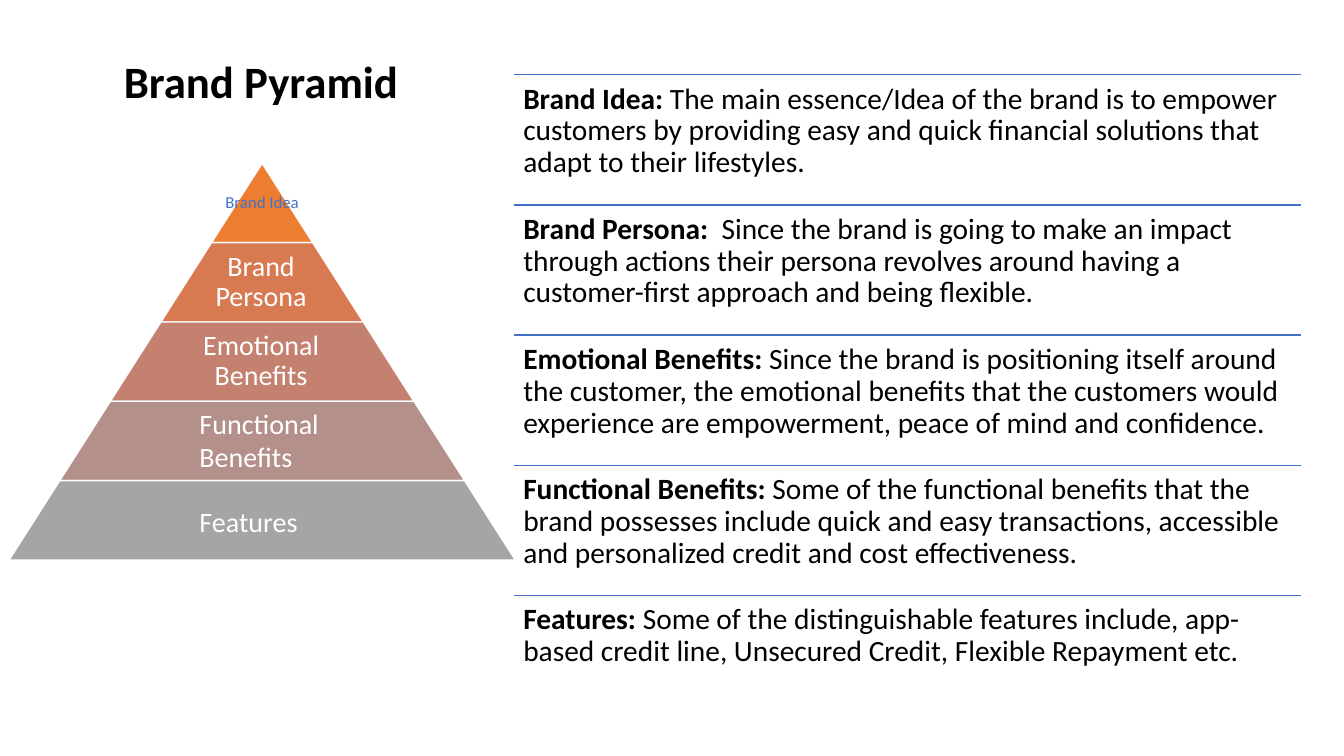
"""Builds the Brand Pyramid slide: five stacked levels beside their descriptions."""
from dataclasses import dataclass

from pptx import Presentation
from pptx.dml.color import RGBColor
from pptx.enum.shapes import MSO_CONNECTOR, MSO_SHAPE
from pptx.enum.text import MSO_ANCHOR, PP_ALIGN
from pptx.oxml.ns import qn
from pptx.util import Inches, Pt
from lxml.etree import SubElement

HEADING = "Brand Pyramid"
LEVELS = ["Brand Idea", "Brand Persona", "Emotional Benefits", "Functional Benefits", "Features"]
DESCRIPTIONS = [
    ("Brand Idea: ", "The main essence/Idea of the brand is to empower customers by providing "
     "easy and quick financial solutions that adapt to their lifestyles."),
    ("Brand Persona: ", " Since the brand is going to make an impact through actions their "
     "persona revolves around having a customer-first approach and being flexible."),
    ("Emotional Benefits: ", "Since the brand is positioning itself around the customer, the "
     "emotional benefits that the customers would experience are empowerment, peace of mind "
     "and confidence."),
    ("Functional Benefits: ", "Some of the functional benefits that the brand possesses include "
     "quick and easy transactions, accessible and personalized credit and cost effectiveness."),
    ("Features: ", "Some of the distinguishable features include, app-based credit line, "
     "Unsecured Credit, Flexible Repayment etc."),
]


@dataclass(frozen=True)
class Theme:
    font: str = "Calibri"
    ink: str = "000000"
    white: str = "FFFFFF"
    accent: str = "4472C4"
    bands: tuple = ("ED7D31", "D87A51", "C48170", "B4908B", "A5A5A5")
    heading_size: int = 32
    body_size: int = 21
    level_size: int = 20
    peak_size: int = 12


THEME = Theme()
SLIDE_W, SLIDE_H = 13.33, 7.5
PYRAMID_CENTRE, PYRAMID_TOP, PYRAMID_BASE = 2.6, 1.62, 5.02
BAND_H = 0.787
BAND_STEP = PYRAMID_BASE / len(LEVELS)
RULE_LEFT, RULE_RIGHT, RULE_TOP = 5.1, 12.9, 0.74
ROW_H = 1.292
CAPTION_BOXES = [
    (2.1, 0, 1, BAND_H),
    (1.94, 0, 1.3, BAND_H),
    (1.61, 0, 1.96, BAND_H),
    (1.88, 0, 1.79, 0.77),
    (1.88, 0.19, 2.25, 0.44),
]


def colour(code):
    return RGBColor.from_string(code)


def add_words(slide, box, runs, size, ink, align=PP_ALIGN.LEFT, anchor=MSO_ANCHOR.TOP,
              inset=(0.1, 0.05), spacing=None):
    frame = slide.shapes.add_textbox(*map(Inches, box)).text_frame
    frame.word_wrap = True
    frame.vertical_anchor = anchor
    frame.margin_left = frame.margin_right = Inches(inset[0])
    frame.margin_top = frame.margin_bottom = Inches(inset[1])
    paragraph = frame.paragraphs[0]
    paragraph.alignment = align
    paragraph.line_spacing = spacing
    for words, bold in runs:
        run = paragraph.add_run()
        run.text = words
        run.font.name = THEME.font
        run.font.size = Pt(size)
        run.font.bold = bold
        run.font.color.rgb = colour(ink)


def add_band(slide, index):
    width = BAND_STEP * (index + 1)
    band = slide.shapes.add_shape(
        MSO_SHAPE.TRAPEZOID, Inches(PYRAMID_CENTRE - width / 2),
        Inches(PYRAMID_TOP + index * BAND_H), Inches(width), Inches(BAND_H))
    band.adjustments[0] = BAND_STEP / 2 / BAND_H
    band.shadow.inherit = False
    band.fill.solid()
    band.fill.fore_color.rgb = colour(THEME.bands[index])
    band.line.color.rgb = colour(THEME.white)
    band.line.width = Pt(1)


def add_caption(slide, index):
    left, drop, width, height = CAPTION_BOXES[index]
    box = (left, PYRAMID_TOP + index * BAND_H + drop, width, height)
    runs = [(LEVELS[index], False)]
    peak = index == 0
    size = THEME.peak_size if peak else THEME.level_size
    ink = THEME.accent if peak else THEME.white
    if index < 3:
        inset = 0.02 if peak else 0.03
        add_words(slide, box, runs, size, ink, PP_ALIGN.CENTER, MSO_ANCHOR.MIDDLE,
                  (inset, inset), 0.9)
    else:
        add_words(slide, box, runs, size, ink)


def add_description(slide, index):
    top = RULE_TOP + index * ROW_H
    rule = slide.shapes.add_connector(
        MSO_CONNECTOR.STRAIGHT, Inches(RULE_LEFT), Inches(top), Inches(RULE_RIGHT), Inches(top))
    rule.line.color.rgb = colour(THEME.accent)
    rule.line.width = Pt(1)
    SubElement(rule._element.spPr, qn("a:effectLst"))
    term, meaning = DESCRIPTIONS[index]
    add_words(slide, (RULE_LEFT, top, RULE_RIGHT - RULE_LEFT, ROW_H),
              [(term, True), (meaning, False)], THEME.body_size, THEME.ink,
              inset=(0.09, 0.09), spacing=0.9)


def main():
    deck = Presentation()
    deck.slide_width, deck.slide_height = Inches(SLIDE_W), Inches(SLIDE_H)
    slide = deck.slides.add_slide(deck.slide_layouts[6])
    for index in range(len(LEVELS)):
        add_band(slide, index)
        add_caption(slide, index)
        add_description(slide, index)
    add_words(slide, (0.43, 0.48, 4.32, 0.64), [(HEADING, True)], THEME.heading_size,
              THEME.ink, PP_ALIGN.CENTER)
    deck.save("out.pptx")


if __name__ == "__main__":
    main()
